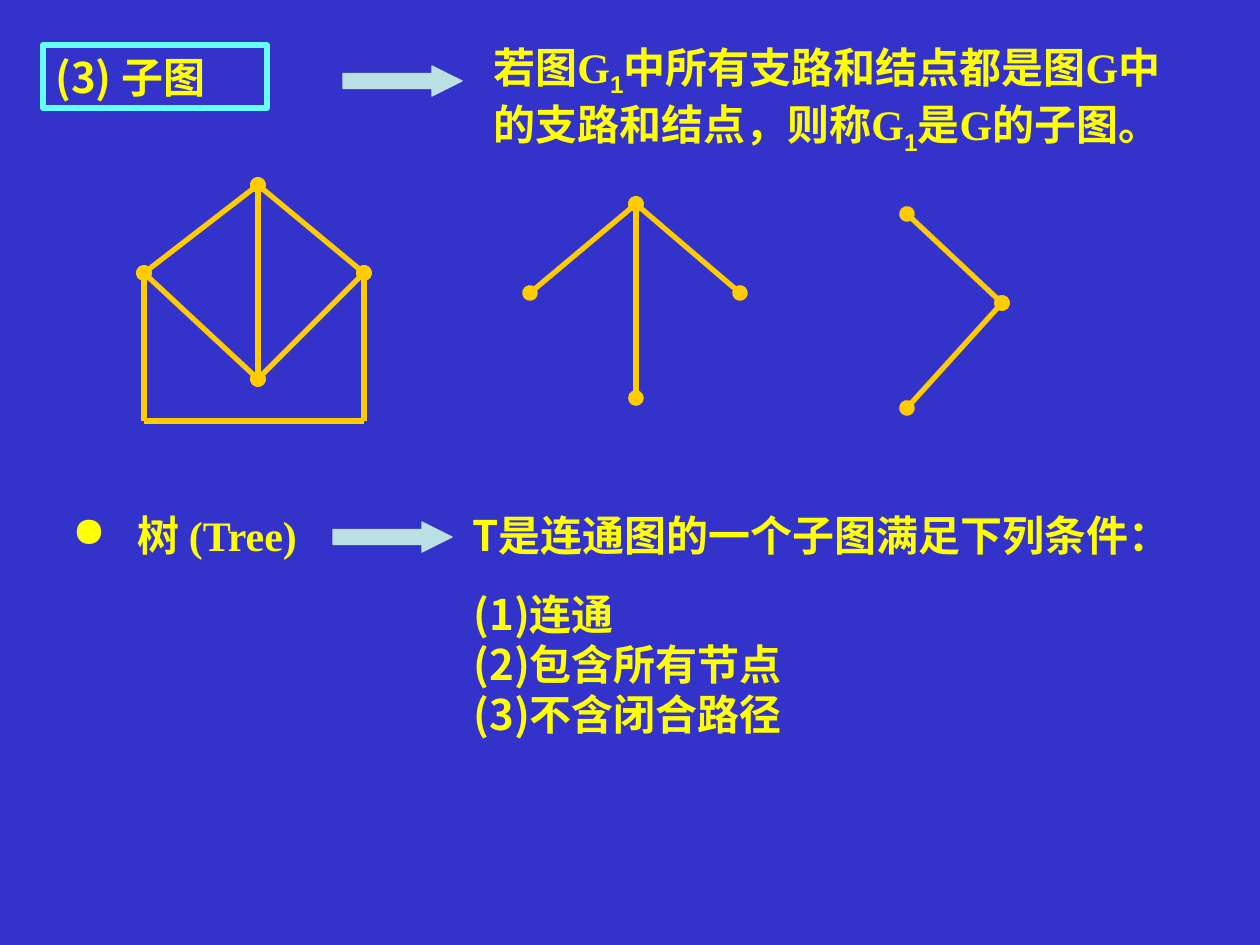
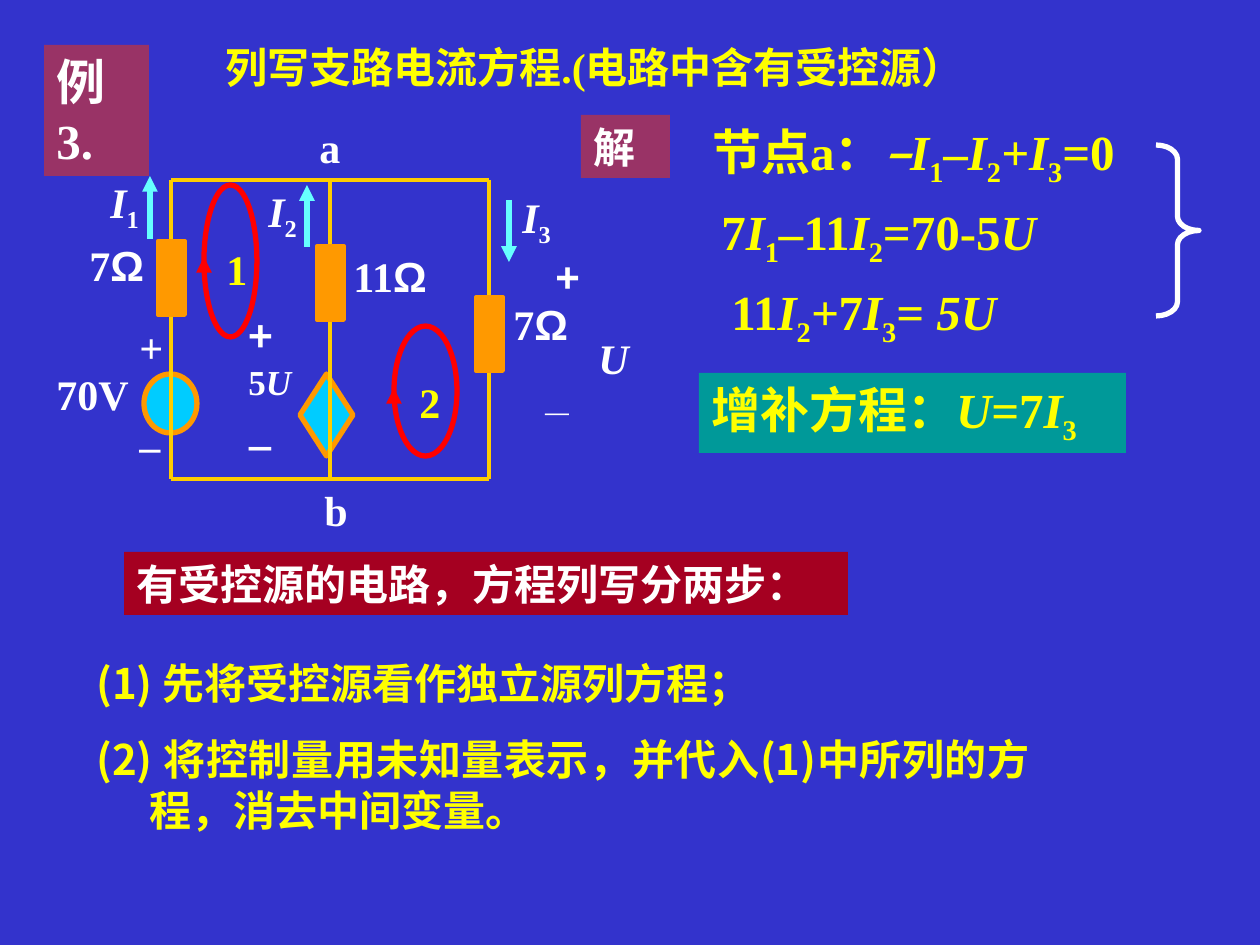
from dataclasses import dataclass

from lxml.etree import SubElement
from pptx import Presentation
from pptx.dml.color import RGBColor
from pptx.enum.shapes import MSO_CONNECTOR, MSO_SHAPE
from pptx.enum.text import MSO_ANCHOR, MSO_AUTO_SIZE, PP_ALIGN
from pptx.oxml.ns import qn
from pptx.util import Pt


@dataclass(frozen=True)
class Theme:
    """Colours, fonts and type sizes shared by the slides."""

    ground: str = "3333CC"
    yellow: str = "FFFF00"
    white: str = "FFFFFF"
    cyan: str = "66FFFF"
    gold: str = "FFCC00"
    orange: str = "FF9900"
    sky: str = "00CCFF"
    red: str = "FF0000"
    pale: str = "BBE0E3"
    plum: str = "993366"
    teal: str = "009999"
    crimson: str = "A50021"
    serif: str = "Times New Roman"
    sans: str = "Arial"
    cjk: str = "Noto Sans CJK SC"
    small: int = 20
    body: int = 24
    large: int = 28


THEME = Theme()
EMU_PER_PX = 914400 / 126


def px(length):
    """Turn a length in px into EMU."""
    return round(length * EMU_PER_PX)


def rgb(colour):
    """Turn a hex string into a colour."""
    return RGBColor.from_string(colour)


def paint(shape, fill=None, line=None, weight=3):
    """Set fill and line, leaving out whichever is not given."""
    if fill:
        shape.fill.solid()
        shape.fill.fore_color.rgb = rgb(fill)
    else:
        shape.fill.background()
    if line:
        shape.line.color.rgb = rgb(line)
        shape.line.width = Pt(weight)
    else:
        shape.line.fill.background()


def split_spans(markup):
    """Yield runs with their marks: / italic, ~ subscript, ^ other typeface."""
    marks, run = set(), ""
    for char in markup:
        if char in "/~^":
            if run:
                yield run, set(marks)
            marks ^= {char}
            run = ""
        else:
            run += char
    if run:
        yield run, marks


def add_text(frame, markup, size=THEME.body, colour=THEME.yellow, font=THEME.serif,
             align=PP_ALIGN.LEFT, hang=0, bullet=None, before=0, spacing=None):
    """Write one paragraph of marked-up text into a frame."""
    para = frame.paragraphs[0]
    if para.runs:
        para = frame.add_paragraph()
    para.alignment = align
    if before:
        para.space_before = Pt(before)
    if spacing:
        para.line_spacing = spacing
    props = para._p.get_or_add_pPr()
    if hang:
        props.set("marL", str(px(hang)))
        props.set("indent", str(-px(hang)))
    if bullet:
        SubElement(SubElement(props, qn("a:buClr")), qn("a:srgbClr"), val=colour)
        SubElement(props, qn("a:buChar"), char=bullet)
    other = THEME.sans if font == THEME.serif else THEME.serif
    for text, marks in split_spans(markup):
        span = para.add_run()
        span.text = text
        span.font.size = Pt(size)
        span.font.bold = True
        span.font.italic = "/" in marks
        span.font.color.rgb = rgb(colour)
        span.font.name = other if "^" in marks else font
        run_props = span._r.get_or_add_rPr()
        SubElement(run_props, qn("a:ea"), typeface=THEME.cjk)
        if "~" in marks:
            run_props.set("baseline", "-25000")


def add_box(shapes, left, top, width, height=63, wrap=True, fill=None, line=None):
    """Add a text box that grows with its text and return its frame."""
    box = shapes.add_textbox(px(left), px(top), px(width), px(height))
    paint(box, fill, line)
    frame = box.text_frame
    frame.word_wrap = wrap
    frame.auto_size = MSO_AUTO_SIZE.SHAPE_TO_FIT_TEXT
    frame.vertical_anchor = MSO_ANCHOR.TOP
    return frame


def add_preset(shapes, kind, left, top, width, height, **look):
    """Add a preset shape without a shadow."""
    shape = shapes.add_shape(kind, px(left), px(top), px(width), px(height))
    shape.shadow.inherit = False
    paint(shape, **look)
    return shape


def add_line(shapes, start, end, colour, weight=3, head=None, tail=None):
    """Add a straight line with optional end marks."""
    line = shapes.add_connector(MSO_CONNECTOR.STRAIGHT, *map(px, (*start, *end)))
    line.line.color.rgb = rgb(colour)
    line.line.width = Pt(weight)
    outline = line.line._get_or_add_ln()
    for tag, mark in (("a:headEnd", head), ("a:tailEnd", tail)):
        if mark:
            SubElement(outline, qn(tag), type=mark)
    SubElement(line._element.spPr, qn("a:effectLst"))


def add_page(deck):
    """Add a blank page on the shared ground colour."""
    page = deck.slides.add_slide(deck.slide_layouts[6])
    page.background.fill.solid()
    page.background.fill.fore_color.rgb = rgb(THEME.ground)
    return page.shapes


def draw_graph(shapes, left, top, nodes, edges, corners=""):
    """Draw a graph whose nodes are dots and whose corners are bare."""
    group = shapes.add_group_shape().shapes
    for first, last in edges.split():
        points = [(left + nodes[name][0], top + nodes[name][1]) for name in (first, last)]
        head, tail = (None if name in corners else "oval" for name in (first, last))
        add_line(group, *points, THEME.gold, head=head, tail=tail)


def draw_pointer(shapes, left, top):
    """Draw the block arrow that leads from a term to its definition."""
    arrow = add_preset(shapes, MSO_SHAPE.RIGHT_ARROW, left, top, 119, 30,
                       fill=THEME.pale, line=THEME.pale, weight=0.75)
    arrow.adjustments[0], arrow.adjustments[1] = 0.5, 1


def draw_subgraph_definition(shapes, left, top):
    """Place the subgraph term, its definition and the example graphs."""
    term = add_box(shapes, left, top + 10, 224, wrap=False, line=THEME.cyan)
    add_text(term, "(3) 子图", font=THEME.cjk)
    draw_pointer(shapes, left + 300, top + 31)
    definition = add_box(shapes, left + 438, top, 714, 178)
    add_text(definition, "若图^G^~1~中所有支路和结点都是图^G^中的支路和结点，则称^G^~1~是^G^的子图。",
             font=THEME.sans)
    whole = dict(t=(114, 0), l=(0, 88), r=(220, 88), b=(114, 194), x=(0, 236), y=(220, 236))
    star = dict(t=(106, 0), l=(0, 89), r=(210, 89), b=(106, 194))
    bend = dict(t=(0, 0), r=(95, 89), b=(0, 194))
    draw_graph(shapes, left + 101, top + 150, whole, "tl tb lb tr rb lx xy ry", corners="xy")
    draw_graph(shapes, left + 487, top + 169, star, "tb tl tr")
    draw_graph(shapes, left + 864, top + 179, bend, "tr rb")


def draw_tree_definition(shapes, left, top):
    """Place the tree term and the conditions it meets."""
    term = add_box(shapes, left, top, 268, wrap=False)
    add_text(term, "树 (Tree)", hang=65, bullet="●")
    lead = add_box(shapes, left + 391, top, 741)
    add_text(lead, "T是连通图的一个子图满足下列条件：", font=THEME.cjk, align=PP_ALIGN.CENTER)
    conditions = add_box(shapes, left + 401, top + 79, 596, 164)
    for condition in ("(1)连通", "(2)包含所有节点", "(3)不含闭合路径"):
        add_text(conditions, condition, font=THEME.cjk)
    draw_pointer(shapes, left + 273, top + 19)


def draw_heading(shapes, left, top):
    """Place the example number and the task."""
    number = add_box(shapes, left, top, 105, 131, fill=THEME.plum)
    add_text(number, "例3.", size=THEME.large, colour=THEME.white)
    add_text(add_box(shapes, left + 169, top - 10, 843), "列写支路电流方程.(电路中含有受控源）")


def draw_equations(shapes, left, top):
    """Place the answer tag, the braced equations and the extra equation."""
    tag = add_box(shapes, left, top, 89, fill=THEME.plum)
    add_text(tag, "解", colour=THEME.white)
    equations = (
        (119, 0, 494, None, "节点a：/–I/~1~–/I/~2~/+I/~3~=0"),
        (128, 80, 367, None, "7/I/~1~/–/11/I/~2~=70-5/U/"),
        (138, 160, 427, None, "11/I/~2~/+/7/I/~3~=/ 5U/"),
        (118, 258, 427, THEME.teal, "增补方程：/U/=7/I/~3~"),
    )
    for across, down, width, fill, markup in equations:
        frame = add_box(shapes, left + across, top + down, width, 80, fill=fill)
        add_text(frame, markup, size=THEME.large)
    brace = add_preset(shapes, MSO_SHAPE.RIGHT_BRACE, left + 575, top + 30, 43, 171,
                       line=THEME.white)
    brace.adjustments[0], brace.adjustments[1] = 0.33, 0.5


def draw_circuit(shapes, left, top):
    """Draw the circuit with its sources, loops, wires, resistors and labels."""
    group = shapes.add_group_shape().shapes

    def line(start, end, colour, **look):
        """Add a line given relative to the circuit."""
        add_line(group, (left + start[0], top + start[1]),
                 (left + end[0], top + end[1]), colour, **look)

    for kind, x, width, height in ((MSO_SHAPE.DIAMOND, 256, 53, 82), (MSO_SHAPE.OVAL, 100, 53, 59)):
        add_preset(group, kind, left + x, top + 259, width, height,
                   fill=THEME.sky, line=THEME.orange)
    for x, y, width, height, tip in ((160, 70, 53, 152, 142), (350, 211, 63, 130, 273)):
        add_preset(group, MSO_SHAPE.OVAL, left + x, top + y, width, height, line=THEME.red)
        line((x, tip + 8), (x, tip), THEME.red, tail="triangle")

    wires, upper, lower = (127, 286, 445), 65, 364
    for x in wires:
        line((x, upper), (x, lower), THEME.gold, weight=2.25)
    for y in (upper, lower):
        line((wires[0], y), (wires[-1], y), THEME.gold, weight=2.25)
    for x, y in zip(wires, (126, 131, 182)):
        add_preset(group, MSO_SHAPE.RECTANGLE, left + x - 13, top + y, 27, 74,
                   fill=THEME.orange, line=THEME.orange, weight=2.25)
    for x, start, end in ((106, 124, 61), (263, 132, 70), (465, 85, 147)):
        line((x, start), (x, end), THEME.cyan, tail="triangle")

    labels = (
        (263, 0, 45, "a"), (268, 363, 48, "b"), (0, 247, 127, "70V"),
        (33, 118, 87, "7^Ω^"), (297, 129, 127, "11^Ω^"), (457, 177, 87, "7^Ω^"),
        (83, 200, 50, "+"), (83, 298, 52, "–"),
        (54, 55, 66, "/I/~1~"), (212, 64, 66, "/I/~2~"), (466, 70, 87, "/I/~3~"),
        (499, 129, 74, "^+^"), (542, 211, 74, "/U/"), (489, 247, 74, "^_^"),
    )
    for x, y, width, markup in labels:
        frame = add_box(group, left + x, top + y, width, wrap=markup not in "ab")
        add_text(frame, markup, colour=THEME.white)
    for x, y, width, number in ((170, 122, 37, "1"), (363, 255, 44, "2")):
        add_text(add_box(group, left + x, top + y, width), number)
    source = add_box(group, left + 192, top + 189, 84, 156)
    add_text(source, "+", colour=THEME.white, font=THEME.cjk)
    add_text(source, "5/U/", colour=THEME.white, size=THEME.small)
    add_text(source, "_", colour=THEME.white, font=THEME.cjk)


def draw_steps(shapes, left, top):
    """Place the banner and the two steps of the method."""
    banner = add_box(shapes, left + 40, top, 724, fill=THEME.crimson)
    add_text(banner, "有受控源的电路，方程列写分两步：", colour=THEME.white)
    steps = add_box(shapes, left, top + 89, 958, 200)
    look = dict(font=THEME.cjk, align=PP_ALIGN.JUSTIFY, hang=53)
    add_text(steps, "(1) 先将受控源看作独立源列方程；", spacing=1.2, **look)
    add_text(steps, "(2) 将控制量用未知量表示，并代入(1)中所列的方程，消去中间变量。", before=15, **look)


def main():
    """Build the deck and save it."""
    deck = Presentation()
    deck.slide_width, deck.slide_height = px(1260), px(945)
    definitions = add_page(deck)
    draw_subgraph_definition(definitions, 43, 35)
    draw_tree_definition(definitions, 60, 503)
    example = add_page(deck)
    draw_heading(example, 44, 45)
    draw_equations(example, 581, 115)
    draw_circuit(example, 44, 115)
    draw_steps(example, 84, 552)
    deck.save("out.pptx")


if __name__ == "__main__":
    main()
